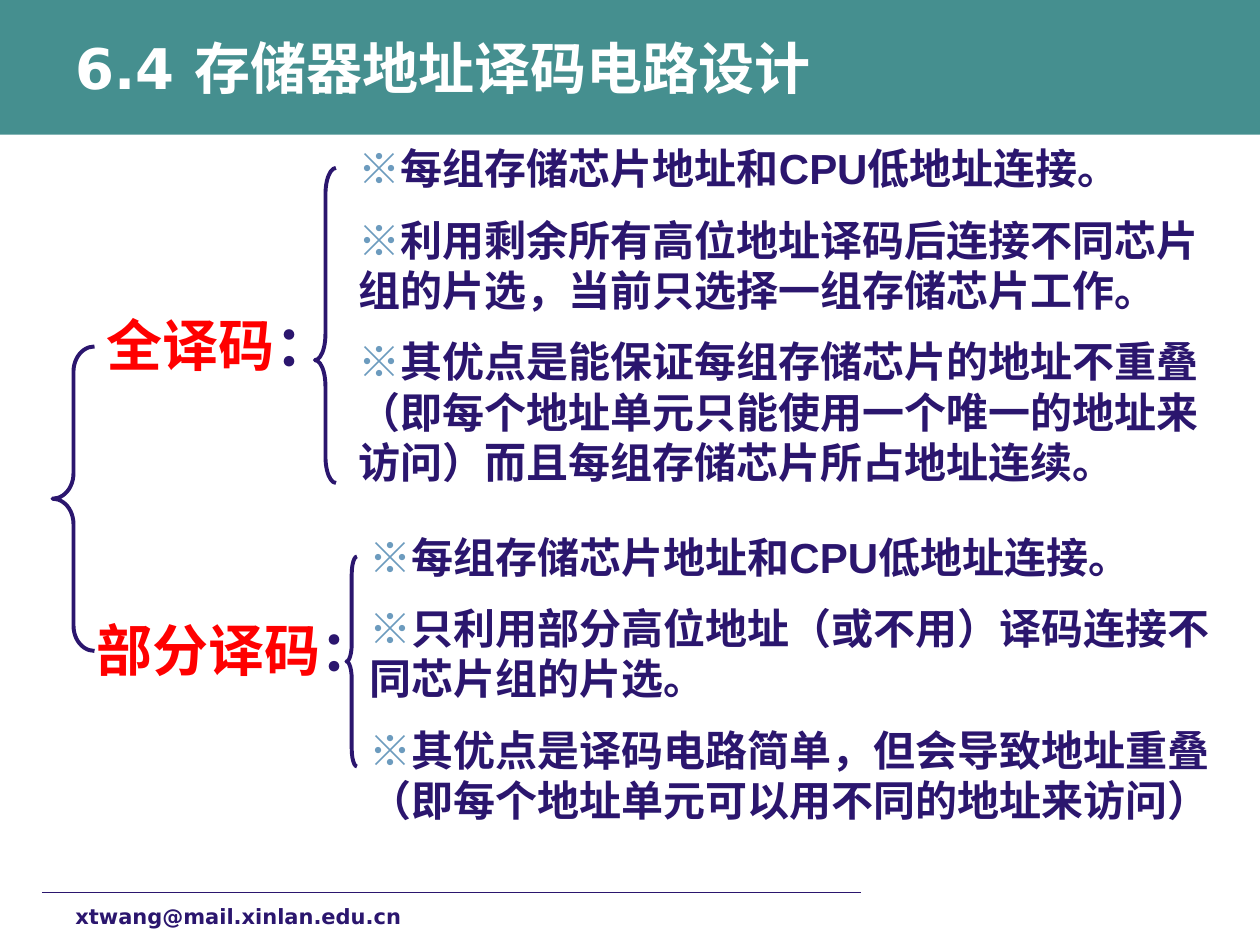
from dataclasses import dataclass

from lxml.etree import SubElement
from pptx import Presentation
from pptx.dml.color import RGBColor
from pptx.enum.shapes import MSO_CONNECTOR, MSO_SHAPE
from pptx.enum.text import MSO_ANCHOR
from pptx.oxml.ns import qn
from pptx.slide import Slide
from pptx.util import Pt

TEAL = RGBColor(0x45, 0x8F, 0x8F)
NAVY = RGBColor(0x2B, 0x16, 0x6E)
BLUE = RGBColor(0x6C, 0x9B, 0xBE)
RED = RGBColor(0xFF, 0x00, 0x00)
WHITE = RGBColor(0xFF, 0xFF, 0xFF)

HEADING_FONT = "DejaVu Sans"
BODY_FONT = "Arial"


@dataclass(frozen=True)
class Box:
    left: float
    top: float
    width: float
    height: float

    def lengths(self) -> tuple[Pt, Pt, Pt, Pt]:
        return Pt(self.left), Pt(self.top), Pt(self.width), Pt(self.height)


@dataclass(frozen=True)
class Brace:
    box: Box
    curve: float
    tip: float


@dataclass(frozen=True)
class Method:
    name: str
    label_box: Box
    brace: Brace
    points_box: Box
    points: tuple[str, ...]


ROOT_BRACE = Brace(Box(30, 198, 24, 174), 0.6, 0.5)

METHODS = (
    Method(
        "全译码",
        Box(54, 174, 144, 46),
        Brace(Box(180, 96, 12, 180), 1.25, 0.61),
        Box(198, 78, 516, 211),
        (
            "每组存储芯片地址和CPU低地址连接。",
            "利用剩余所有高位地址译码后连接不同芯片组的片选，当前只选择一组存储芯片工作。",
            "其优点是能保证每组存储芯片的地址不重叠（即每个地址单元只能使用一个唯一的地址来访问）"
            "而且每组存储芯片所占地址连续。",
        ),
    ),
    Method(
        "部分译码",
        Box(48, 348, 176, 46),
        Brace(Box(198, 318, 6, 120), 1.67, 0.5),
        Box(204, 300, 516, 182),
        (
            "每组存储芯片地址和CPU低地址连接。",
            "只利用部分高位地址（或不用）译码连接不同芯片组的片选。",
            "其优点是译码电路简单，但会导致地址重叠（即每个地址单元可以用不同的地址来访问）",
        ),
    ),
)


def add_text(
    slide: Slide,
    box: Box,
    paragraphs: list[list[tuple[str, RGBColor]]],
    size: float,
    font_name: str,
    wrap: bool = True,
    gap: float = 0,
    anchor: MSO_ANCHOR = MSO_ANCHOR.TOP,
) -> None:
    """Add bold paragraphs, each a list of (text, colour) runs."""
    frame = slide.shapes.add_textbox(*box.lengths()).text_frame
    frame.word_wrap = wrap
    frame.vertical_anchor = anchor
    for index, runs in enumerate(paragraphs):
        paragraph = frame.add_paragraph() if index else frame.paragraphs[0]
        paragraph.space_before = Pt(gap)
        paragraph.font.size = Pt(size)
        paragraph.font.name = font_name
        paragraph.font.bold = True
        for text, color in runs:
            run = paragraph.add_run()
            run.text = text
            run.font.color.rgb = color


def add_brace(slide: Slide, brace: Brace) -> None:
    shape = slide.shapes.add_shape(MSO_SHAPE.LEFT_BRACE, *brace.box.lengths())
    shape.shadow.inherit = False
    shape.adjustments[0] = brace.curve
    shape.adjustments[1] = brace.tip
    shape.fill.background()
    shape.line.color.rgb = NAVY
    shape.line.width = Pt(2.25)


def add_method(slide: Slide, method: Method) -> None:
    points = [[("※", BLUE), (point, NAVY)] for point in method.points]
    add_text(slide, method.points_box, points, 24, BODY_FONT, gap=12)
    label = [[(method.name, RED), ("：", NAVY)]]
    add_text(slide, method.label_box, label, 32, BODY_FONT, wrap=False)
    add_brace(slide, method.brace)


def add_frame(slide: Slide) -> None:
    """Add the title band, the title and the footer."""
    band = slide.shapes.add_shape(MSO_SHAPE.RECTANGLE, *Box(0, 0, 720, 77).lengths())
    band.shadow.inherit = False
    band.fill.solid()
    band.fill.fore_color.rgb = TEAL
    band.line.fill.background()

    rule = slide.shapes.add_connector(
        MSO_CONNECTOR.STRAIGHT, Pt(24), Pt(510), Pt(492), Pt(510)
    )
    rule.line.color.rgb = NAVY
    rule.line.width = Pt(0.75)
    SubElement(rule.element.spPr, qn("a:effectLst"))

    title = [[("6.4 存储器地址译码电路设计", WHITE)]]
    add_text(slide, Box(36, 16, 456, 45), title, 32, HEADING_FONT, anchor=MSO_ANCHOR.MIDDLE)
    address = [[("xtwang@mail.xinlan.edu.cn", NAVY)]]
    add_text(slide, Box(36, 513, 210, 27), address, 12, HEADING_FONT)


def main() -> None:
    presentation = Presentation()
    presentation.slide_width = Pt(720)
    presentation.slide_height = Pt(540)
    slide = presentation.slides.add_slide(presentation.slide_layouts[6])
    add_frame(slide)
    add_brace(slide, ROOT_BRACE)
    for method in METHODS:
        add_method(slide, method)
    presentation.save("out.pptx")


if __name__ == "__main__":
    main()
